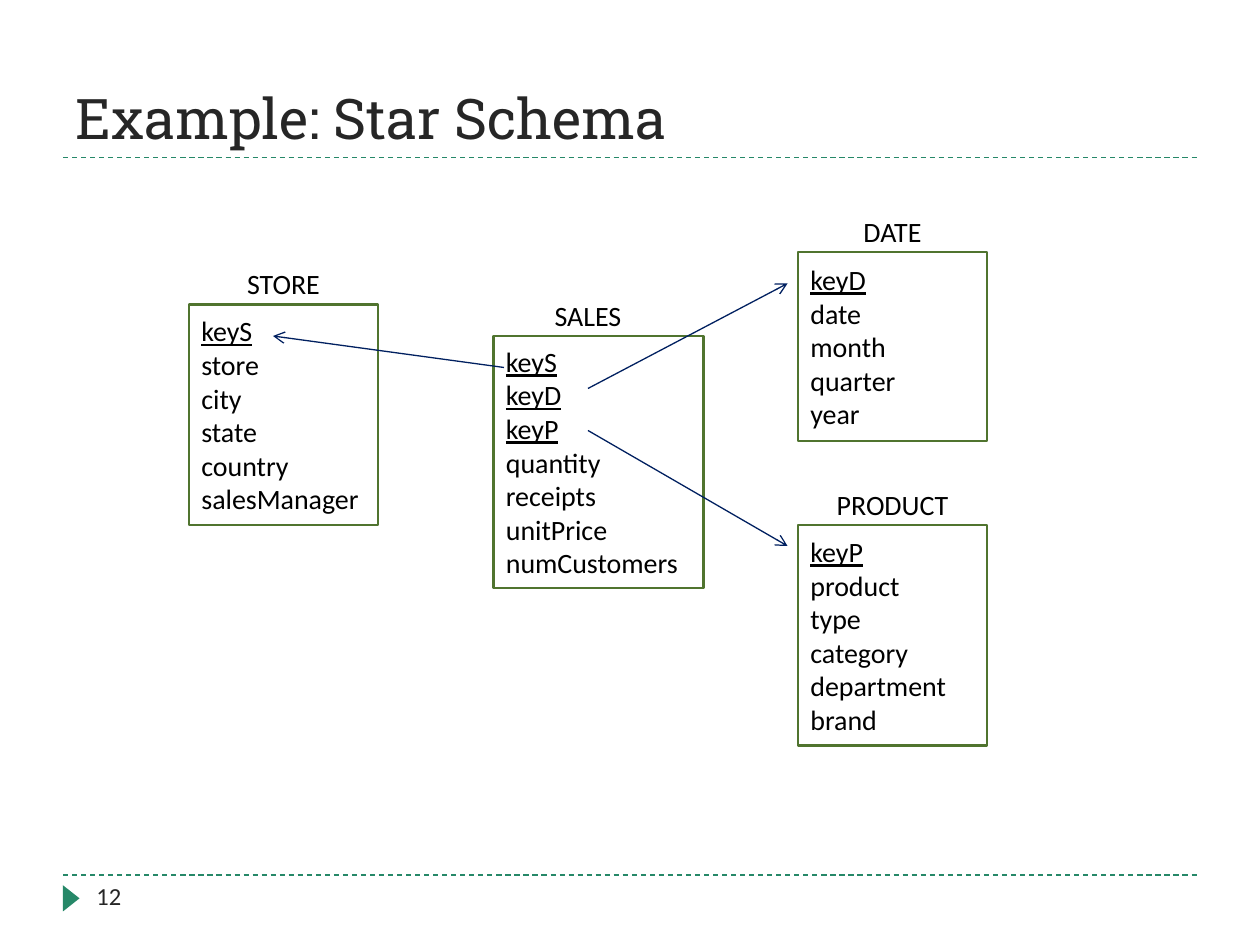
from lxml.etree import SubElement
from pptx import Presentation
from pptx.dml.color import RGBColor
from pptx.enum.dml import MSO_LINE
from pptx.enum.shapes import MSO_CONNECTOR, MSO_SHAPE
from pptx.enum.text import MSO_ANCHOR, MSO_AUTO_SIZE, PP_ALIGN
from pptx.oxml.ns import qn
from pptx.util import Pt

COLORS = {
    "background": "FFFFFF",
    "title": "262626",
    "text": "000000",
    "rule": "268868",
    "border": "50742F",
    "arrow": "002060",
}
HEADER_HEIGHT = 24
ROW_HEIGHT = 18

TABLES = [
    ("SALES", 174, 48, 120, 3,
     ["keyS", "keyD", "keyP", "quantity", "receipts", "unitPrice", "numCustomers"]),
    ("STORE", 0, 30, 108, 1,
     ["keyS", "store", "city", "state", "country", "salesManager"]),
    ("DATE", 348, 0, 108, 1, ["keyD", "date", "month", "quarter", "year"]),
    ("PRODUCT", 348, 156, 108, 1,
     ["keyP", "product", "type", "category", "department", "brand"]),
]
KEY_LINKS = [
    (180, 90, 48, 72),
    (228, 102, 342, 42),
    (228, 126, 342, 192),
]


def color(name):
    return RGBColor.from_string(COLORS[name])


def set_font(paragraph, size, color_name, font_name="Calibri"):
    paragraph.font.size = Pt(size)
    paragraph.font.name = font_name
    paragraph.font.color.rgb = color(color_name)


def add_line(slide, start_x, start_y, end_x, end_y, color_name):
    connector = slide.shapes.add_connector(
        MSO_CONNECTOR.STRAIGHT, Pt(start_x), Pt(start_y), Pt(end_x), Pt(end_y))
    connector.line.color.rgb = color(color_name)
    connector.line.width = Pt(0.75)
    SubElement(connector._element.spPr, qn("a:effectLst"))
    return connector


def add_rule(slide, left, top, width):
    rule = add_line(slide, left, top, left + width, top, "rule")
    rule.line.dash_style = MSO_LINE.DASH


def add_arrow(slide, start_x, start_y, end_x, end_y):
    arrow = add_line(slide, start_x, start_y, end_x, end_y, "arrow")
    SubElement(arrow.line._get_or_add_ln(), qn("a:tailEnd"), type="arrow")


def add_box(slide, left, top, width, height, lines, alignment):
    box = slide.shapes.add_shape(
        MSO_SHAPE.RECTANGLE, Pt(left), Pt(top), Pt(width), Pt(height))
    box.shadow.inherit = False
    box.fill.solid()
    box.fill.fore_color.rgb = color("background")
    box.line.fill.background()
    frame = box.text_frame
    frame.vertical_anchor = MSO_ANCHOR.MIDDLE
    frame.text = "\n".join(lines)
    for paragraph in frame.paragraphs:
        paragraph.alignment = alignment
        set_font(paragraph, 16, "text")
    return box


def add_schema_table(slide, left, top, width, name, key_count, fields):
    add_box(slide, left, top, 108, HEADER_HEIGHT, [name], PP_ALIGN.CENTER)
    height = ROW_HEIGHT * (len(fields) + 1)
    body = add_box(slide, left, top + HEADER_HEIGHT, width, height, fields, PP_ALIGN.LEFT)
    body.line.color.rgb = color("border")
    body.line.width = Pt(1.5)
    for paragraph in body.text_frame.paragraphs[:key_count]:
        paragraph.font.underline = True


def add_star_schema(slide, left, top):
    for name, x, y, width, key_count, fields in TABLES:
        add_schema_table(slide, left + x, top + y, width, name, key_count, fields)
    for start_x, start_y, end_x, end_y in KEY_LINKS:
        add_arrow(slide, left + start_x, top + start_y, left + end_x, top + end_y)


def add_title(slide, left, top, width, height):
    add_rule(slide, left, top + height, width)
    title = slide.shapes.title
    title.left, title.top, title.width, title.height = Pt(left), Pt(top), Pt(width), Pt(height)
    frame = title.text_frame
    frame.text = "Example: Star Schema"
    frame.auto_size = MSO_AUTO_SIZE.NONE
    frame.vertical_anchor = MSO_ANCHOR.BOTTOM
    paragraph = frame.paragraphs[0]
    paragraph.alignment = PP_ALIGN.LEFT
    set_font(paragraph, 32, "title", "Roboto Slab")


def add_footer(slide, left, top, width):
    add_rule(slide, left, top, width)
    marker = slide.shapes.add_shape(
        MSO_SHAPE.ISOSCELES_TRIANGLE, Pt(left - 2.8), Pt(top + 8.6), Pt(15), Pt(9.5))
    marker.rotation = 90
    marker.shadow.inherit = False
    marker.fill.solid()
    marker.fill.fore_color.rgb = color("rule")
    marker.line.fill.background()
    number = slide.shapes.add_textbox(Pt(left + 12), Pt(top), Pt(156), Pt(29))
    number.text_frame.word_wrap = True
    number.text_frame.text = "12"
    set_font(number.text_frame.paragraphs[0], 14, "title")


def main():
    presentation = Presentation()
    presentation.slide_width, presentation.slide_height = Pt(720), Pt(540)
    slide = presentation.slides.add_slide(presentation.slide_layouts[5])
    slide.background.fill.solid()
    slide.background.fill.fore_color.rgb = color("background")
    add_title(slide, 36, 18, 648, 72)
    add_star_schema(slide, 108, 120)
    add_footer(slide, 36, 500, 648)
    presentation.save("out.pptx")


if __name__ == "__main__":
    main()
